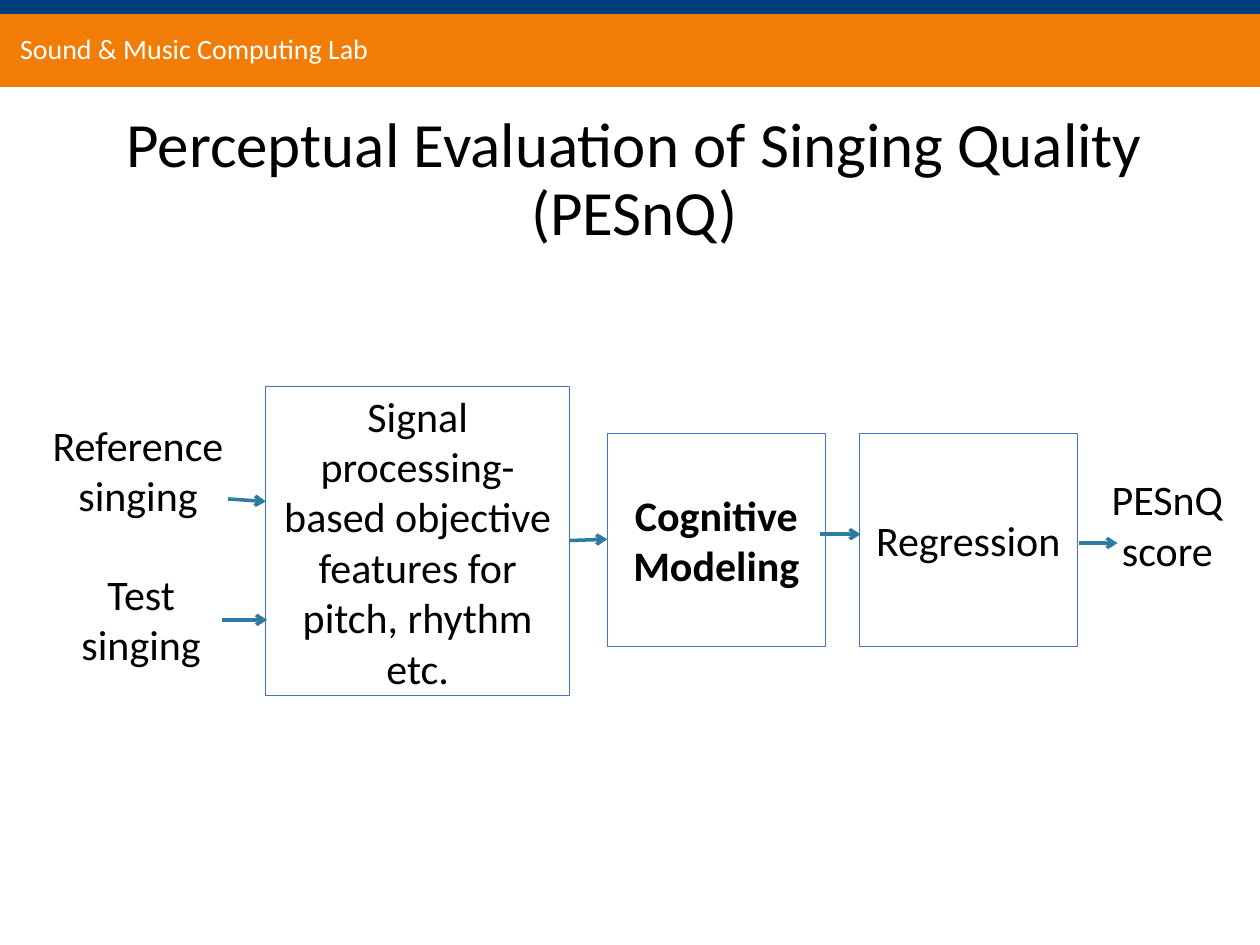
import pptx
import pptx.util
import pptx.dml.color
import pptx.enum.shapes
import pptx.enum.text
from lxml import etree
from pptx.util import Inches

FONT = "Calibri"
BLACK, WHITE, BLUE, TEAL = "000000", "FFFFFF", "4472C4", "2C7C9F"
CENTER = pptx.enum.text.PP_ALIGN.CENTER
LEFT = pptx.enum.text.PP_ALIGN.LEFT
MIDDLE = pptx.enum.text.MSO_ANCHOR.MIDDLE
TOP = pptx.enum.text.MSO_ANCHOR.TOP

TITLE = "Perceptual Evaluation of Singing Quality (PESnQ)"
LAB = "Sound & Music Computing Lab"

# left, top, width, height, colour
BARS = [
    (0, 0.11, 10, 0.58, "F17D07"),
    (0, 0, 10, 0.11, "003D7C"),
]
# text, left, top, width, height, fill, bold
STAGES = [
    ("Signal processing-based objective features for pitch, rhythm etc.",
     2.11, 3.07, 2.41, 2.45, None, False),
    ("Cognitive Modeling", 4.82, 3.44, 1.73, 1.69, WHITE, True),
    ("Regression", 6.82, 3.44, 1.73, 1.69, WHITE, False),
]
# text, left, top, width, height
LABELS = [
    ("Reference singing", 0.19, 3.28, 1.81, 0.91),
    ("Test singing", 0.25, 4.46, 1.74, 0.91),
    ("PESnQ score", 8.63, 3.71, 1.27, 0.91),
]
# from x, from y, to x, to y
ARROWS = [
    (1.81, 3.96, 2.11, 3.98),
    (1.76, 4.92, 2.12, 4.92),
    (4.52, 4.29, 4.82, 4.28),
    (6.51, 4.24, 6.83, 4.24),
    (8.56, 4.31, 8.87, 4.31),
]


def rgb(color):
    return pptx.dml.color.RGBColor.from_string(color)


def set_text(shape, text, size=24, color=BLACK, bold=False, align=CENTER, anchor=MIDDLE):
    tf = shape.text_frame
    tf.word_wrap = True
    tf.vertical_anchor = anchor
    p = tf.paragraphs[0]
    p.text = text
    p.alignment = align
    p.font.name = FONT
    p.font.size = pptx.util.Pt(size)
    p.font.bold = bold
    p.font.color.rgb = rgb(color)
    return tf


def add_rect(s, box, fill=None, line=None):
    sp = s.shapes.add_shape(pptx.enum.shapes.MSO_SHAPE.RECTANGLE, *map(Inches, box))
    sp.shadow.inherit = False
    if fill:
        sp.fill.solid()
        sp.fill.fore_color.rgb = rgb(fill)
    else:
        sp.fill.background()
    if line:
        sp.line.color.rgb = rgb(line)
        sp.line.width = pptx.util.Pt(0.5)
    else:
        sp.line.fill.background()
    return sp


def add_arrow(s, ends):
    c = s.shapes.add_connector(pptx.enum.shapes.MSO_CONNECTOR.STRAIGHT, *map(Inches, ends))
    c.line.color.rgb = rgb(TEAL)
    c.line.width = pptx.util.Pt(2)
    ns = pptx.oxml.ns.qn
    etree.SubElement(c.line._get_or_add_ln(), ns("a:tailEnd"), type="arrow")
    etree.SubElement(c._element.spPr, ns("a:effectLst"))


def main():
    prs = pptx.Presentation()
    prs.slide_width, prs.slide_height = Inches(10), Inches(7.5)
    s = prs.slides.add_slide(prs.slide_layouts[5])

    title = s.shapes.title
    title.left, title.top, title.width, title.height = map(Inches, (0.12, 0.71, 9.83, 1.45))
    set_text(title, TITLE, size=36).paragraphs[0].line_spacing = 0.9

    for *box, color in BARS:
        add_rect(s, box, fill=color)
    lab = s.shapes.add_textbox(*map(Inches, (0.12, 0.21, 2.87, 0.35)))
    tf = set_text(lab, LAB, size=16, color=WHITE, align=LEFT)
    tf.word_wrap = False
    tf.margin_left = tf.margin_right = tf.margin_top = tf.margin_bottom = Inches(0.04)

    for text, *box, fill, bold in STAGES:
        set_text(add_rect(s, box, fill, BLUE), text, bold=bold)
    for text, *box in LABELS:
        set_text(s.shapes.add_textbox(*map(Inches, box)), text, anchor=TOP)
    for ends in ARROWS:
        add_arrow(s, ends)

    prs.save("out.pptx")


if __name__ == "__main__":
    main()
